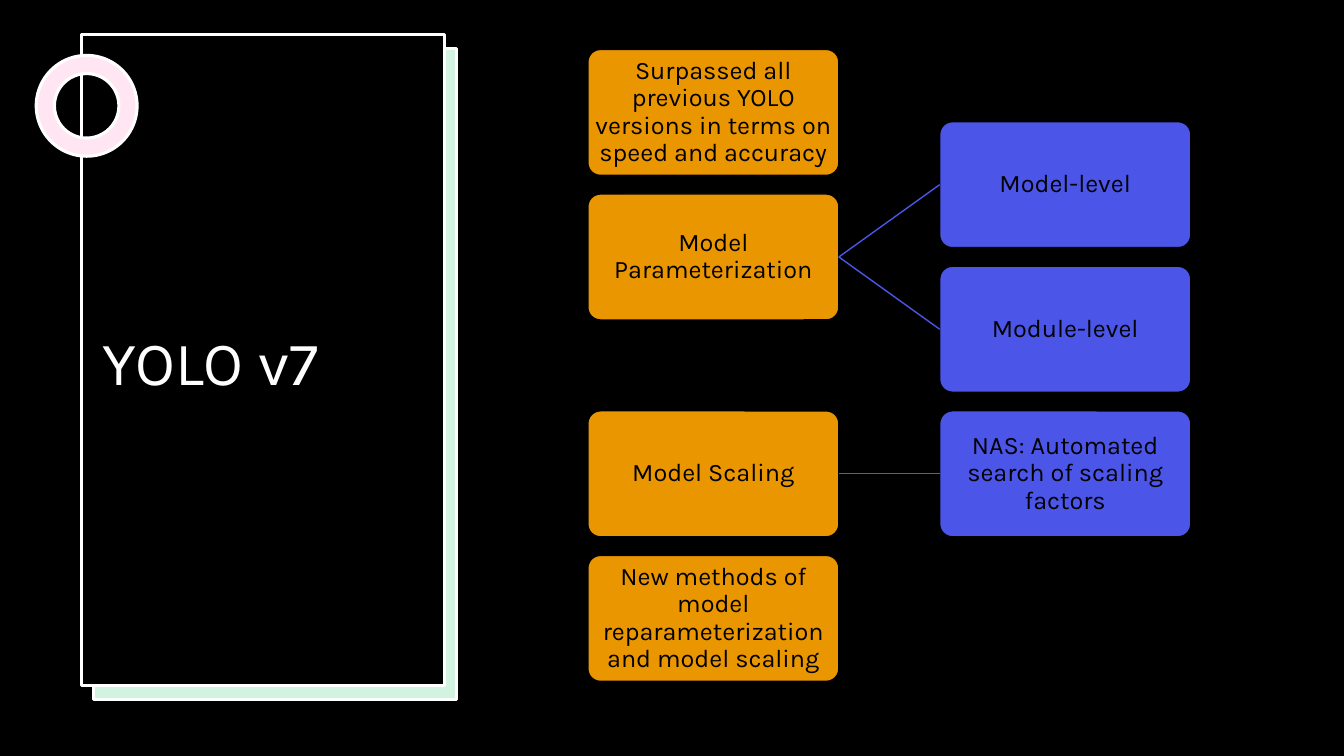
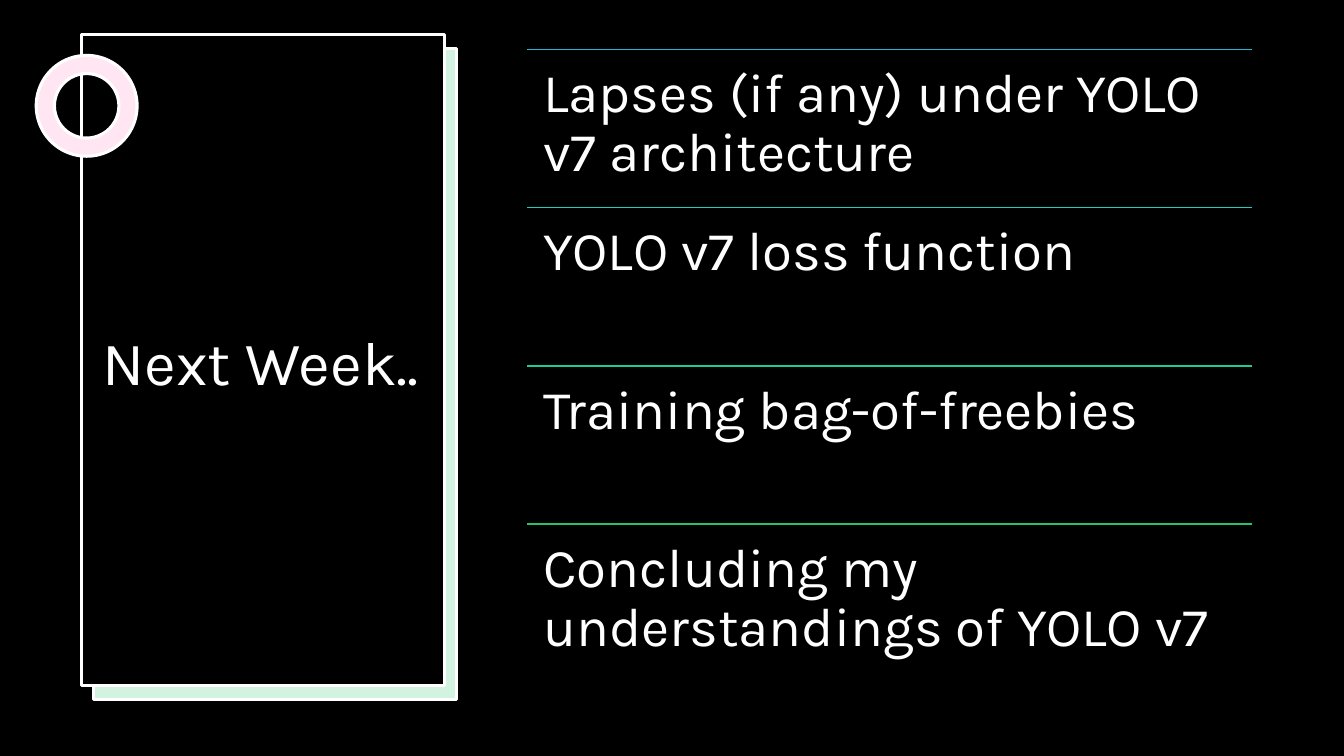
from pptx import Presentation, util as u
from pptx.dml.color import RGBColor
from pptx.enum import shapes, text
from pptx.oxml.ns import qn
from lxml import etree

FONT = "Karla"
COLORS = {
    "black": "000000",
    "white": "FFFFFF",
    "mint": "D3F3E1",
    "pink": "FFE6F2",
    "orange": "EA9600",
    "blue": "4B56E8",
}
NODE_WIDTH, NODE_HEIGHT = 2.49, 1.25
NODE_TOP, NODE_STEP = 0.49, (5.51 - 0.49) / 7
TOPIC_LEFT, TOPIC_TOP, TOPIC_WIDTH, TOPIC_HEIGHT = 5.23, 0.49, 7.19, 1.57

METHODS = [
    (0, "Surpassed all previous YOLO versions in terms on speed and accuracy", []),
    (2, "Model Parameterization", [(1, "Model-level"), (3, "Module-level")]),
    (5, "Model Scaling", [(5, "NAS: Automated search of scaling factors")]),
    (7, "New methods of model reparameterization and model scaling", []),
]
TOPICS = [
    ("Lapses (if any) under YOLO v7 architecture", "1EB9D3"),
    ("YOLO v7 loss function", "1FCEBF"),
    ("Training bag-of-freebies", "20C994"),
    ("Concluding my understandings of YOLO v7", "21C46B"),
]


def color(name):
    return RGBColor.from_string(COLORS.get(name, name))


def write(shape, words, size, fill="white", align=text.PP_ALIGN.LEFT,
          anchor=text.MSO_ANCHOR.MIDDLE, inset=0.1):
    frame = shape.text_frame
    frame.word_wrap = True
    frame.vertical_anchor = anchor
    frame.margin_left = frame.margin_right = u.Inches(inset)
    frame.margin_top = frame.margin_bottom = u.Inches(min(inset, 0.16))
    para = frame.paragraphs[0]
    para.alignment = align
    para.line_spacing = 0.9
    span = para.add_run()
    span.text = words
    span.font.name = FONT
    span.font.size = u.Pt(size)
    span.font.color.rgb = color(fill)


def add_box(page, left, top, width, height):
    return page.shapes.add_textbox(*map(u.Inches, (left, top, width, height)))


def add_figure(page, kind, left, top, width, height, fill, line="white",
               weight=2.25, adjustment=None):
    figure = page.shapes.add_shape(kind, *map(u.Inches, (left, top, width, height)))
    figure.shadow.inherit = False
    figure.fill.solid()
    figure.fill.fore_color.rgb = color(fill)
    figure.line.color.rgb = color(line)
    figure.line.width = u.Pt(weight)
    if adjustment is not None:
        figure.adjustments[0] = adjustment
    return figure


def add_line(page, start, end, fill):
    line = page.shapes.add_connector(
        shapes.MSO_CONNECTOR.STRAIGHT, *map(u.Inches, (*start, *end)))
    line.line.color.rgb = color(fill)
    line.line.width = u.Pt(1)
    etree.SubElement(line._element.spPr, qn("a:effectLst"))
    return line


def add_page(deck, title):
    page = deck.slides.add_slide(deck.slide_layouts[6])
    rectangle = shapes.MSO_SHAPE.RECTANGLE
    add_figure(page, rectangle, 0.93, 0.48, 3.6, 6.46, "mint")
    add_figure(page, rectangle, 0.81, 0.34, 3.6, 6.46, "black")
    add_figure(page, shapes.MSO_SHAPE.DONUT, 0.36, 0.55, 1, 1, "pink", adjustment=0.18)
    write(add_box(page, 0.92, 1.31, 3.4, 4.63), title, 44)
    return page


def add_node(page, left, row, words, fill):
    node = add_figure(page, shapes.MSO_SHAPE.ROUNDED_RECTANGLE, left,
                      NODE_TOP + row * NODE_STEP, NODE_WIDTH, NODE_HEIGHT, fill,
                      line="black", weight=1, adjustment=0.1)
    write(node, words, 18, fill="black", align=text.PP_ALIGN.CENTER, inset=0.01)
    return node


def add_methods(page):
    for row, words, details in METHODS:
        method = add_node(page, 5.83, row, words, "orange")
        for detail_row, detail_words in details:
            detail = add_node(page, 9.32, detail_row, detail_words, "blue")
            link = add_line(page, (0, 0), (1, 1), "blue")
            link.begin_connect(method, 3)
            link.end_connect(detail, 1)


def add_topics(page):
    for index, (words, fill) in enumerate(TOPICS):
        top = TOPIC_TOP + index * TOPIC_HEIGHT
        add_line(page, (TOPIC_LEFT, top), (TOPIC_LEFT + TOPIC_WIDTH, top), fill)
        box = add_box(page, TOPIC_LEFT, top, TOPIC_WIDTH, TOPIC_HEIGHT)
        write(box, words, 39, anchor=text.MSO_ANCHOR.TOP, inset=0.16)


def main():
    deck = Presentation()
    deck.slide_width, deck.slide_height = u.Inches(13.33), u.Inches(7.5)
    backdrop = deck.slide_master.background.fill
    backdrop.solid()
    backdrop.fore_color.rgb = color("black")
    add_methods(add_page(deck, "YOLO v7"))
    add_topics(add_page(deck, "Next Week.."))
    deck.save("out.pptx")


if __name__ == "__main__":
    main()
